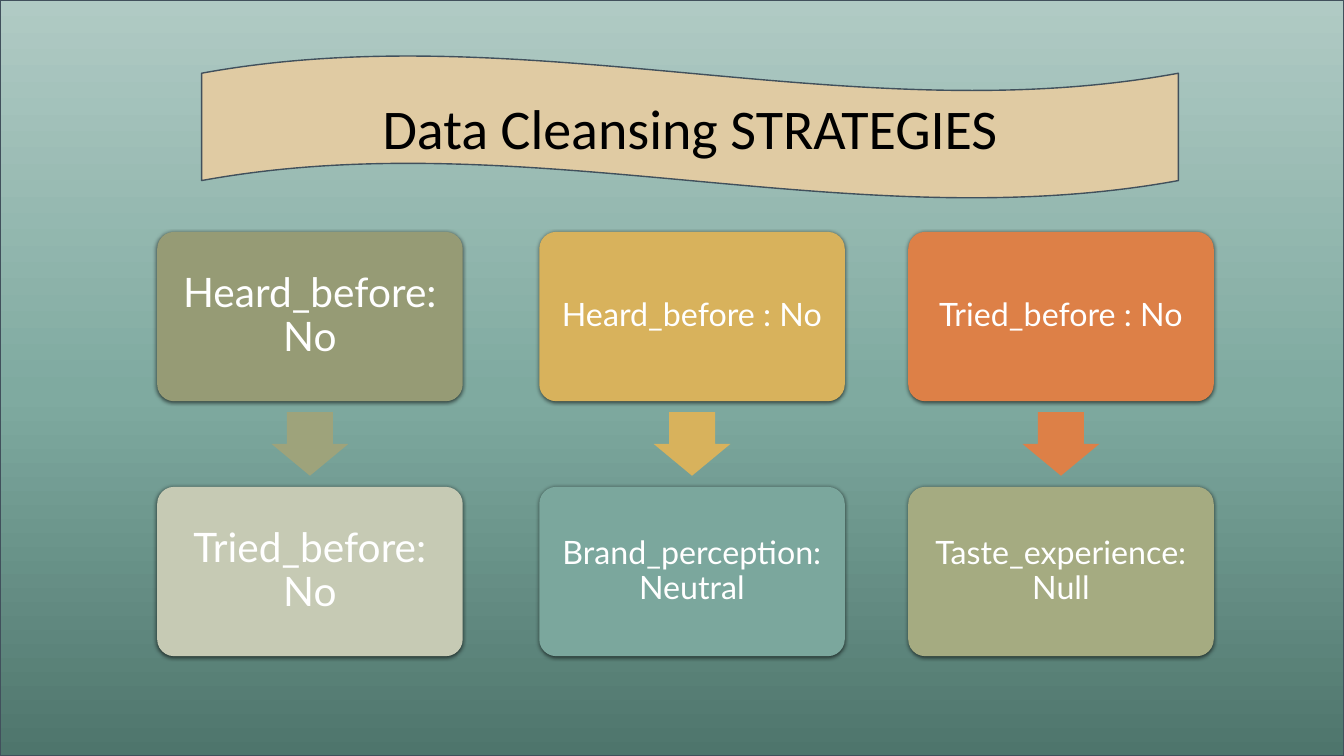
from copy import deepcopy

from lxml import etree
from pptx import Presentation
from pptx.dml.color import RGBColor
from pptx.enum.shapes import MSO_SHAPE
from pptx.enum.text import MSO_ANCHOR, PP_ALIGN
from pptx.oxml.ns import qn
from pptx.util import Inches, Pt

RECT, CARD = MSO_SHAPE.RECTANGLE, MSO_SHAPE.ROUNDED_RECTANGLE
ARROW, WAVE = MSO_SHAPE.DOWN_ARROW, MSO_SHAPE.WAVE
CENTER, MIDDLE = PP_ALIGN.CENTER, MSO_ANCHOR.MIDDLE

OUTLINE = "41505C"
BACKDROP = [(0, "4E756C"), (0.48, "7FAAA0"), (1, "B0CAC4")]

# Shares of the slide, in percent
CARD_W, CARD_H = 22.73, 22.4
TOP_ROW, BOTTOM_ROW = 30.67, 64.4
ARROW_W, ARROW_H = 5.7, 8.4

# left, text size, inset, (condition, colour), arrow colour, (replacement, colour)
STRATEGIES = [
    (11.7, 29, 0.12, ("Heard_before: No", "969B75"), "9EA37B",
     ("Tried_before: No", "C6CAB4")),
    (40.13, 23, 0.1, ("Heard_before : No", "D8B25C"), "D8B25C",
     ("Brand_perception: Neutral", "7BA79D")),
    (67.58, 23, 0.1, ("Tried_before : No", "DD8047"), "DD8047",
     ("Taste_experience: Null", "A5AB81")),
]


def rgb(value):
    return RGBColor.from_string(value)


class Deck:
    def __init__(self):
        self.prs = Presentation()
        self.prs.slide_width, self.prs.slide_height = Inches(13.333), Inches(7.5)
        self.slide = self.prs.slides.add_slide(self.prs.slide_layouts[6])

    def shape(self, kind, x, y, w, h, fill=None, line=None, adjust=()):
        """Add a preset shape placed in percent of the slide's size."""
        sw, sh = self.prs.slide_width, self.prs.slide_height
        sp = self.slide.shapes.add_shape(
            kind, int(sw * x / 100), int(sh * y / 100),
            int(sw * w / 100), int(sh * h / 100))
        sp.shadow.inherit = False
        for i, value in enumerate(adjust):
            sp.adjustments[i] = value
        if fill:
            sp.fill.solid()
            sp.fill.fore_color.rgb = rgb(fill)
        if line:
            sp.line.color.rgb = rgb(line)
            sp.line.width = Pt(1)
        else:
            sp.line.fill.background()
        return sp

    def backdrop(self, stops):
        sp = self.shape(RECT, 0, 0, 100, 100, line=OUTLINE)
        sp.fill.gradient()
        sp.fill.gradient_angle = 90
        stop_list = next(sp._element.spPr.iter(qn("a:gsLst")))
        while len(stop_list) < len(stops):
            stop_list.append(deepcopy(stop_list[0]))
        for stop, (position, color) in zip(sp.fill.gradient_stops, stops):
            stop.position = position
            stop.color.rgb = rgb(color)

    def text(self, sp, text, font, size, color, inset=None, **spacing):
        tf = sp.text_frame
        tf.word_wrap = True
        tf.vertical_anchor = MIDDLE
        if inset:
            for side in ("left", "top", "right", "bottom"):
                setattr(tf, f"margin_{side}", Inches(inset))
        p = tf.paragraphs[0]
        for name, value in {"alignment": CENTER, **spacing}.items():
            setattr(p, name, value)
        r = p.add_run()
        r.text = text
        for name, value in {"name": font, "size": Pt(size)}.items():
            setattr(r.font, name, value)
        r.font.color.rgb = rgb(color)

    def banner(self, text):
        sp = self.shape(WAVE, 15, 7.33, 72.68, 18.93, "E0CBA3", OUTLINE)
        self.text(sp, text, "Calibri", 40, "000000")

    def card(self, x, y, text, fill, size, inset):
        sp = self.shape(CARD, x, y, CARD_W, CARD_H, fill, adjust=[0.1])
        self.soft_shadow(sp)
        self.text(sp, text, "Lato", size, "FFFFFF", inset, line_spacing=0.9)

    def soft_shadow(self, sp):
        effects = sp._element.spPr.find(qn("a:effectLst"))
        shadow = etree.SubElement(
            effects, qn("a:outerShdw"), blurRad=str(Pt(3)), dist=str(Pt(1)),
            dir="5400000", algn="ctr", rotWithShape="0")
        color = etree.SubElement(shadow, qn("a:srgbClr"), val="000000")
        etree.SubElement(color, qn("a:alpha"), val="63000")

    def arrow(self, column, fill):
        """Centre a down arrow between the two cards of a column."""
        x = column + (CARD_W - ARROW_W) / 2
        y = (TOP_ROW + CARD_H + BOTTOM_ROW - ARROW_H) / 2
        self.shape(ARROW, x, y, ARROW_W, ARROW_H, fill, adjust=[0.6, 0.5])


def main():
    deck = Deck()
    deck.backdrop(BACKDROP)
    deck.banner("Data Cleansing STRATEGIES")
    for x, size, inset, condition, arrow_fill, replacement in STRATEGIES:
        deck.card(x, TOP_ROW, *condition, size, inset)
        deck.arrow(x, arrow_fill)
        deck.card(x, BOTTOM_ROW, *replacement, size, inset)
    deck.prs.save("out.pptx")


if __name__ == "__main__":
    main()
